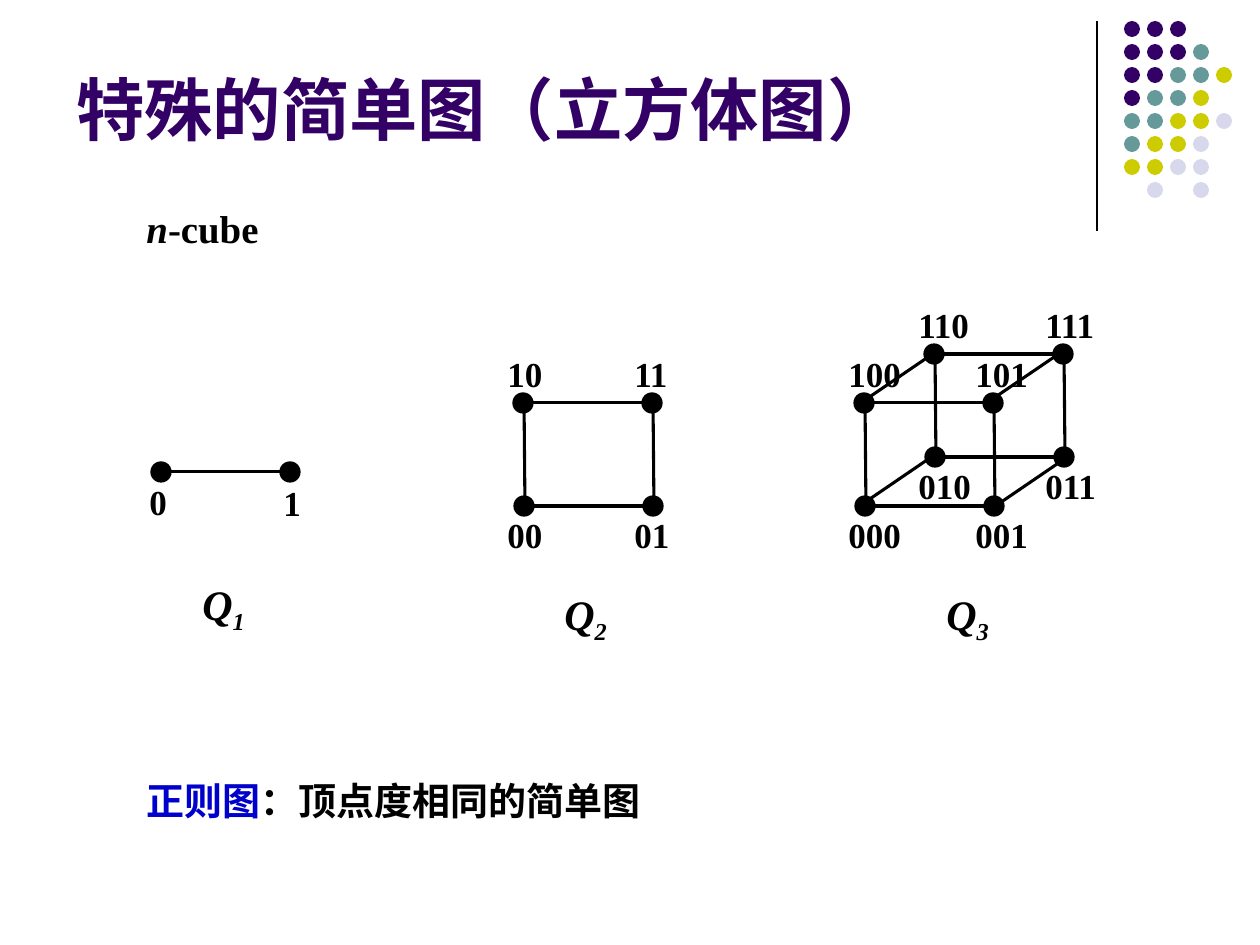
import pptx
import pptx.dml.color
import pptx.enum.shapes
import pptx.enum.text
import pptx.oxml.ns
import pptx.util
import lxml.etree

SCALE = 914400 / 126
KIND = pptx.enum.shapes.MSO_SHAPE
ALIGN = pptx.enum.text.PP_ALIGN
ANCHOR = pptx.enum.text.MSO_ANCHOR

BLACK = "000000"
DOTS = {"p": "330066", "t": "669999", "y": "CCCC00", "l": "D8D8EC"}
ROWS = ["ppp", "pppt", "pptty", "ptty", "ttyyl", "tyyl", "yyll", " l l"]


def px(*nums):
    return [pptx.util.Emu(round(num * SCALE)) for num in nums]


def color(code):
    return pptx.dml.color.RGBColor.from_string(code)


def apply(item, form):
    for name, value in form.items():
        setattr(item, name, value)


class Board:
    def __init__(self, slide, font="Times New Roman", size=20, node=20, edge=1.75):
        self.slide = slide
        self.shapes = slide.shapes
        self.font = font
        self.size = size
        self.node = node
        self.edge = edge

    def group(self):
        """Put the elements that follow into a new group."""
        self.shapes = self.slide.shapes.add_group_shape().shapes

    def ungroup(self):
        self.shapes = self.slide.shapes

    def shape(self, kind, box, fill=None, line=None):
        item = self.shapes.add_shape(kind, *px(*box))
        item.shadow.inherit = False
        if fill:
            item.fill.solid()
            item.fill.fore_color.rgb = color(fill)
        else:
            item.fill.background()
        if line:
            item.line.color.rgb = color(line)
            item.line.width = pptx.util.Pt(0.75)
        else:
            item.line.fill.background()
        return item

    def line(self, start, end, width=None):
        item = self.shapes.add_connector(
            pptx.enum.shapes.MSO_CONNECTOR.STRAIGHT, *px(*start, *end))
        item.line.color.rgb = color(BLACK)
        item.line.width = pptx.util.Pt(width or self.edge)
        props = item._element.spPr
        lxml.etree.SubElement(props, pptx.oxml.ns.qn("a:effectLst"))

    def words(self, item, runs, frame, para):
        """Fill an element with runs of (text, font values, baseline)."""
        apply(item.text_frame, frame)
        block = item.text_frame.paragraphs[0]
        apply(block, para)
        for text, form, base in runs:
            run = block.add_run()
            run.text = text
            look = {"name": self.font, "size": pptx.util.Pt(self.size),
                    "bold": True, **form}
            shade = look.pop("color", BLACK)
            apply(run.font, look)
            run.font.color.rgb = color(shade)
            if base:
                run._r.get_or_add_rPr().set("baseline", str(base))

    def text(self, box, runs, frame=None, para=None):
        item = self.shapes.add_textbox(*px(*box))
        self.words(item, runs, {"word_wrap": True, **(frame or {})}, para or {})

    def label(self, box, runs):
        item = self.shape(KIND.RECTANGULAR_CALLOUT, box)
        self.words(item, runs,
                   {"word_wrap": False, "vertical_anchor": ANCHOR.TOP},
                   {"alignment": ALIGN.LEFT, "space_before": pptx.util.Pt(2)})

    def name(self, left, top, order):
        look = {"size": pptx.util.Pt(24), "italic": True}
        self.label((left, top, 100, 69),
                   [("Q", look, 0), (order, look, -25000)])

    def side(self, left, right, top):
        """Two vertices and the level edge between them."""
        half = self.node // 2
        for x in (left, right):
            self.shape(KIND.FLOWCHART_CONNECTOR,
                       (x, top, self.node, self.node), BLACK, BLACK)
        self.line((left + self.node, top + half), (right, top + half))

    def square(self, x, y, codes):
        self.side(x, x + 129, y)
        self.side(x + 1, x + 130, y + 103)
        self.line((x + 12, y + 115), (x + 11, y + 5))
        self.line((x + 141, y + 112), (x + 140, y + 4))
        spots = [(dx, dy) for dy in (-47, 114) for dx in (-18, 109)]
        for code, (dx, dy) in zip(codes, spots):
            self.label((x + dx, y + dy, 49, 39), [(code, {}, 0)])


def main():
    deck = pptx.Presentation()
    deck.slide_width, deck.slide_height = px(1260, 945)
    board = Board(deck.slides.add_slide(deck.slide_layouts[6]))

    board.line((1097, 21), (1097, 231), 0.75)
    board.group()
    for row, marks in enumerate(ROWS):
        for col, mark in enumerate(marks):
            if mark in DOTS:
                board.shape(KIND.OVAL, (1124 + 23 * col, 21 + 23 * row, 16, 16),
                            DOTS[mark])
    board.ungroup()

    board.text((64, 35, 1040, 120), [("特殊的简单图（立方体图）", {
        "name": "Arial", "size": pptx.util.Pt(39), "color": "330066"}, 0)],
        {"vertical_anchor": ANCHOR.BOTTOM})

    board.group()
    board.side(151, 280, 462)
    board.name(190, 572, "1")
    for code, left, top in (("0", 137, 474), ("1", 271, 475)):
        board.label((left, top, 59, 54), [(code, {}, 0)])

    board.group()
    board.square(513, 393, ["10", "11", "00", "01"])
    board.name(552, 582, "2")

    board.group()
    board.square(854, 393, ["100", "101", "000", "001"])
    for x, y in ((864, 503), (994, 507), (994, 398), (871, 396)):
        board.line((x, y), (x + 66, y - 45))
    board.square(924, 344, ["110", "111", "010", "011"])
    board.name(934, 582, "3")
    board.ungroup()

    size = pptx.util.Pt(22.2)
    board.text((134, 204, 169, 63),
               [("n", {"size": size, "italic": True}, 0),
                ("-cube", {"size": size}, 0)],
               para={"alignment": ALIGN.JUSTIFY, "line_spacing": 0.9,
                     "space_before": pptx.util.Pt(2)})
    size = pptx.util.Pt(21.7)
    board.text((134, 780, 804, 63),
               [("正则图", {"size": size, "color": "0000CC"}, 0),
                ("：顶点度相同的简单图", {"size": size}, 0)],
               para={"alignment": ALIGN.JUSTIFY, "line_spacing": 0.8,
                     "space_before": pptx.util.Pt(2)})
    deck.save("out.pptx")


if __name__ == "__main__":
    main()
